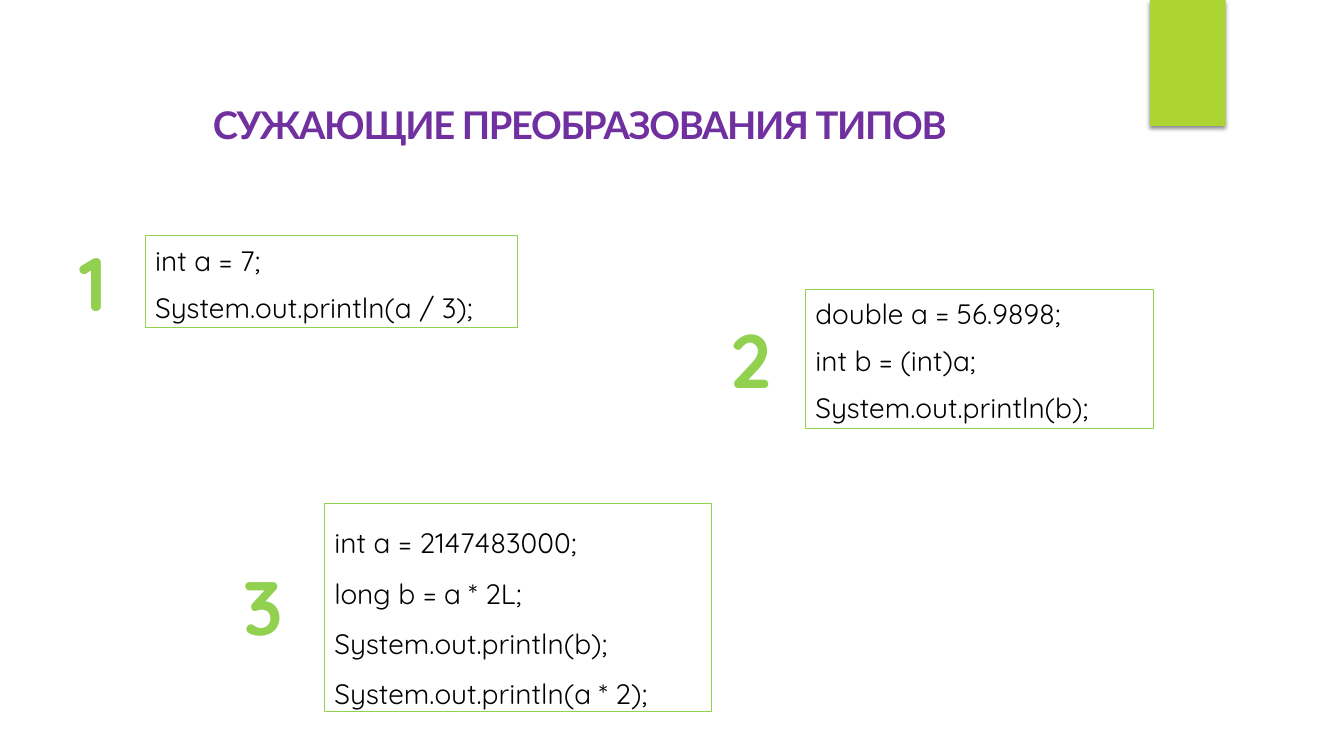
from pptx import Presentation
from pptx.util import Pt
from pptx.dml.color import RGBColor
from pptx.enum.shapes import MSO_SHAPE as Geo
from pptx.enum.text import PP_ALIGN as Align, MSO_ANCHOR as Anchor, MSO_AUTO_SIZE as Auto
from pptx.oxml import parse_xml
from pptx.oxml.ns import nsdecls

# Content
TITLE = "СУЖАЮЩИЕ ПРЕОБРАЗОВАНИЯ ТИПОВ"
TIGHT = {"line_spacing": 1.07, "space_after": Pt(8)}
LOOSE = {"line_spacing": 1.5}
# Code boxes: place, paragraph format, lines
CODE = [
    ((103.7, 168.5, 265.7, 65.5), TIGHT,
     ["int a = 7;", "System.out.println(a / 3);"]),
    ((575.3, 206.6, 248.4, 99.4), TIGHT,
     ["double a = 56.9898;", "int b = (int)a;", "System.out.println(b);"]),
    ((231.8, 360, 276.5, 148.3), LOOSE,
     ["int a = 2147483000;", "long b = a * 2L;",
      "System.out.println(b);", "System.out.println(a * 2);"]),
]
# Number boxes: place, wrap
NUMS = [
    ((43.9, 164.9, 45.4, 72.7), False),
    ((514.8, 219.6, 40.3, 73.4), True),
    ((167, 396.7, 40.3, 73.4), True),
]
GREEN, LIME, PURPLE = "92D050", "ACD433", "7030A0"
HEAD = {"name": "Lato", "size": Pt(27.2), "bold": True}
MONO = {"name": "Quicksand", "size": Pt(20)}
DIGIT = {"name": "Quicksand", "size": Pt(54), "bold": True}

SHADOW = f"""<a:effectLst {nsdecls('a')}>
  <a:outerShdw blurRad="38100" dist="25400" dir="5400000" rotWithShape="0">
    <a:srgbClr val="000000"><a:alpha val="45000"/></a:srgbClr>
  </a:outerShdw></a:effectLst>"""
EDGE = f"""<a:ln {nsdecls('a')} w="13462">
  <a:solidFill><a:srgbClr val="FFFFFF"/></a:solidFill></a:ln>"""


def paint(part, tint):
    part.rgb = RGBColor.from_string(tint)


def apply(part, form):
    for key, val in form.items():
        setattr(part, key, val)


def write(frame, lines, font, tint, para):
    for i, line in enumerate(lines):
        p = frame.add_paragraph() if i else frame.paragraphs[0]
        apply(p, para)
        run = p.add_run()
        run.text = line
        apply(run.font, font)
        paint(run.font.color, tint)
    return run


prs = Presentation()
prs.slide_width, prs.slide_height = Pt(960), Pt(540)
slide = prs.slides.add_slide(prs.slide_layouts[5])
shapes = slide.shapes

# Title
title = shapes.title
apply(title, {"left": Pt(103.7), "top": Pt(61.2),
              "width": Pt(620.6), "height": Pt(59.8)})
apply(title.text_frame, {"vertical_anchor": Anchor.MIDDLE,
                         "word_wrap": True, "auto_size": Auto.NONE})
run = write(title.text_frame, [TITLE], HEAD, PURPLE,
            {"alignment": Align.CENTER, "line_spacing": 0.9})
run._r.get_or_add_rPr().set("spc", "-100")

# Corner tab
tab = shapes.add_shape(Geo.RECTANGLE, Pt(821.5), 0, Pt(54), Pt(90))
tab.fill.solid()
paint(tab.fill.fore_color, LIME)
tab.line.fill.background()
tab._element.spPr.append(parse_xml(SHADOW))

# Code boxes
for place, para, lines in CODE:
    box = shapes.add_shape(Geo.RECTANGLE, *map(Pt, place))
    box.shadow.inherit = False
    box.fill.background()
    paint(box.line.color, GREEN)
    box.line.width = Pt(0.75)
    apply(box.text_frame, {"vertical_anchor": Anchor.TOP, "word_wrap": True,
                           "auto_size": Auto.SHAPE_TO_FIT_TEXT})
    write(box.text_frame, lines, MONO, "000000", {"alignment": Align.LEFT, **para})

# Numbers
for num, (place, wrap) in enumerate(NUMS, 1):
    box = shapes.add_textbox(*map(Pt, place))
    apply(box.text_frame, {"word_wrap": wrap,
                           "auto_size": Auto.SHAPE_TO_FIT_TEXT})
    run = write(box.text_frame, [str(num)], DIGIT, GREEN,
                {"alignment": Align.CENTER})
    run._r.get_or_add_rPr().insert(0, parse_xml(EDGE))

prs.save("out.pptx")
